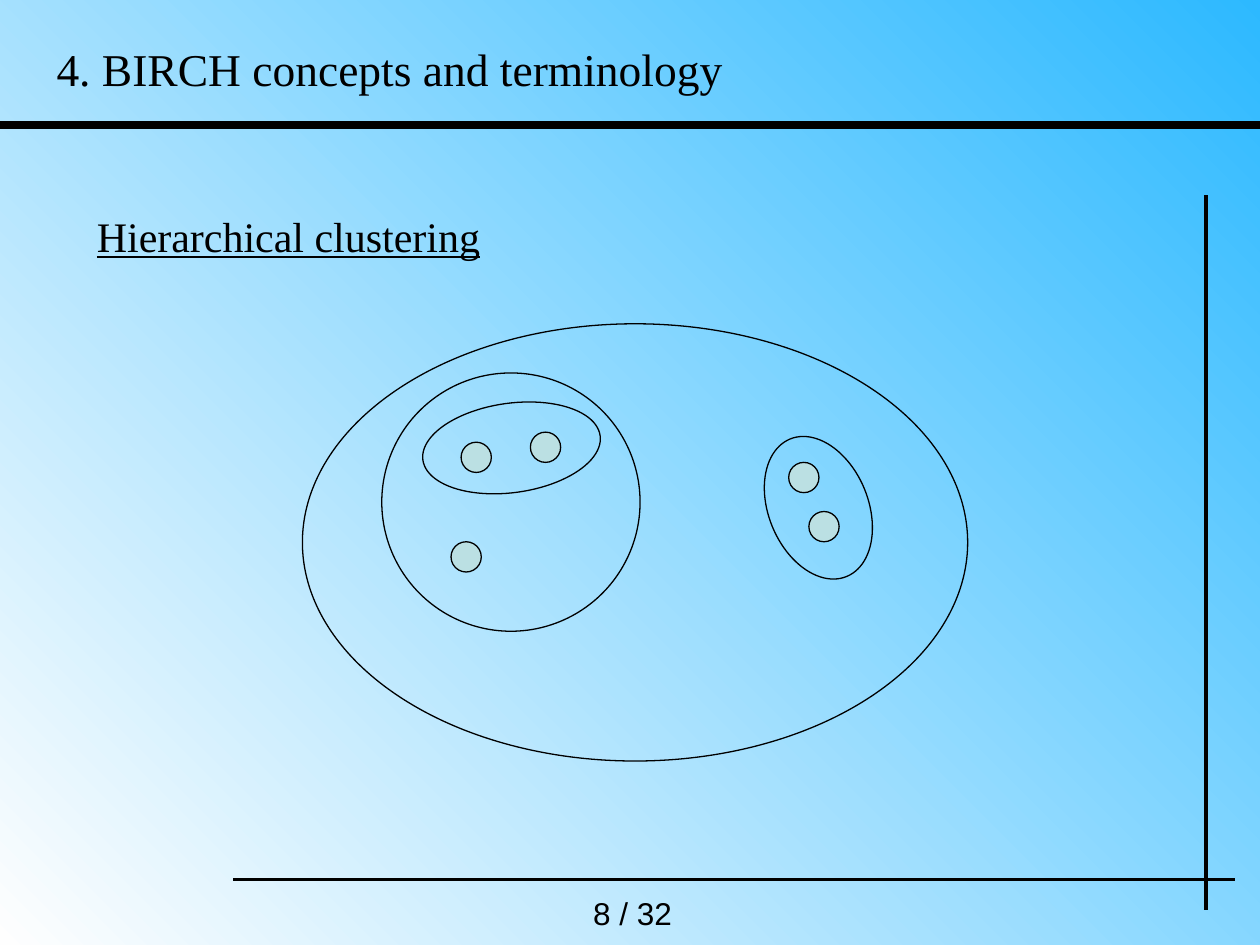
from dataclasses import dataclass

from lxml.etree import SubElement
from pptx import Presentation
from pptx.dml.color import RGBColor
from pptx.enum.shapes import MSO_CONNECTOR, MSO_SHAPE
from pptx.enum.text import MSO_AUTO_SIZE
from pptx.oxml.ns import qn
from pptx.util import Inches, Pt


@dataclass(frozen=True)
class Theme:
    ink = RGBColor(0x00, 0x00, 0x00)
    point = RGBColor(0xBB, 0xE0, 0xE3)
    sky = RGBColor(0x2D, 0xB9, 0xFF)
    white = RGBColor(0xFE, 0xFE, 0xFE)
    serif = "Times New Roman"
    sans = "Arial"
    title = Pt(26)
    heading = Pt(24)
    footer = Pt(18)
    outline = Pt(0.75)
    rule = Pt(2)
    thick_rule = Pt(4.5)


theme = Theme()

prs = Presentation()
prs.slide_width, prs.slide_height = Inches(10), Inches(7.5)
s = prs.slides.add_slide(prs.slide_layouts[6])

bg = s.background.fill
bg.gradient()
bg.gradient_angle = 225
for stop, color, position in zip(bg.gradient_stops, (theme.sky, theme.white), (0, 1)):
    stop.color.rgb = color
    stop.position = position

rules = [
    (0, 0.99, 10, 0.99, theme.thick_rule),
    (1.85, 6.98, 9.8, 6.98, theme.rule),
    (9.57, 7.22, 9.57, 1.55, theme.rule),
]
for x1, y1, x2, y2, width in rules:
    line = s.shapes.add_connector(
        MSO_CONNECTOR.STRAIGHT, Inches(x1), Inches(y1), Inches(x2), Inches(y2)
    )
    line.line.color.rgb = theme.ink
    line.line.width = width
    SubElement(line._element.spPr, qn("a:effectLst"))

texts = [
    ("8 / 32", 4.61, 7.05, 1.02, 0.4, theme.sans, theme.footer, False),
    ("Hierarchical clustering", 0.67, 1.62, 8.5, 0.5, theme.serif, theme.heading, True),
    ("4. BIRCH concepts and terminology", 0.35, 0.28, 9.45, 0.54, theme.serif, theme.title, False),
]
for text, x, y, w, h, font, size, underline in texts:
    tf = s.shapes.add_textbox(Inches(x), Inches(y), Inches(w), Inches(h)).text_frame
    tf.word_wrap = True
    tf.auto_size = MSO_AUTO_SIZE.SHAPE_TO_FIT_TEXT
    r = tf.paragraphs[0].add_run()
    r.text = text
    r.font.name = font
    r.font.size = size
    r.font.underline = underline
    r.font.color.rgb = theme.ink

point_size = 0.24
points = [(3.66, 3.51), (3.58, 4.3), (4.21, 3.43), (6.26, 3.67), (6.42, 4.06)]
clusters = [
    (3.35, 3.2, 1.42, 0.71, 352.2),
    (6.1, 3.44, 0.79, 1.18, 337.6),
    (3.03, 2.96, 2.05, 2.05, 0),
    (2.4, 2.57, 5.28, 3.47, 0),
]
ellipses = [(x, y, point_size, point_size, 0, True) for x, y in points]
ellipses += [(*cluster, False) for cluster in clusters]
for x, y, w, h, rotation, filled in ellipses:
    sp = s.shapes.add_shape(MSO_SHAPE.OVAL, Inches(x), Inches(y), Inches(w), Inches(h))
    sp.rotation = rotation
    sp.shadow.inherit = False
    sp.line.color.rgb = theme.ink
    sp.line.width = theme.outline
    if filled:
        sp.fill.solid()
        sp.fill.fore_color.rgb = theme.point
    else:
        sp.fill.background()

prs.save("out.pptx")
